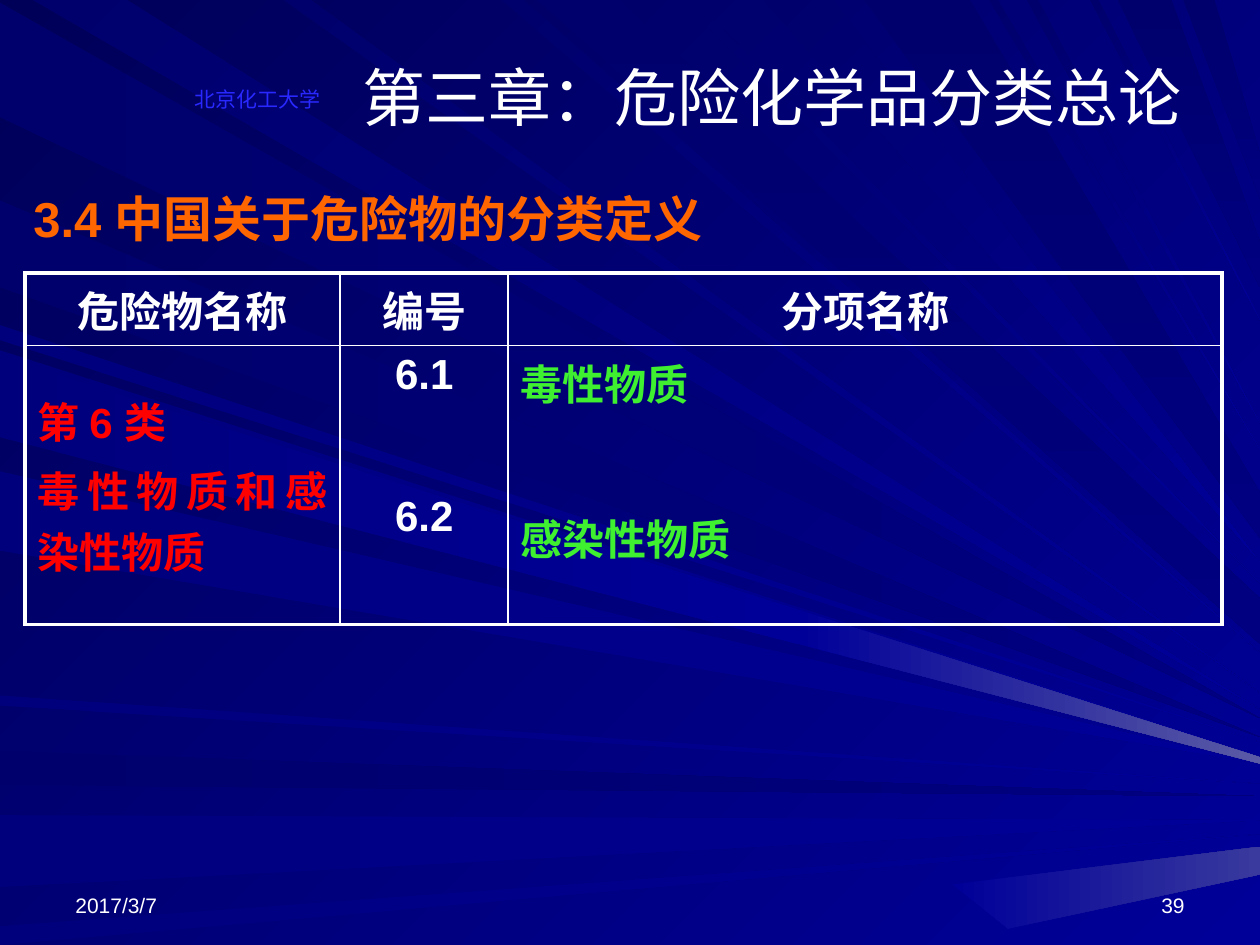
from lxml import etree
from pptx import Presentation, util as u
from pptx.dml.color import RGBColor
from pptx.enum import text as t
from pptx.oxml.ns import qn

WHITE = RGBColor(0xFF, 0xFF, 0xFF)
ORANGE = RGBColor(0xFF, 0x66, 0x00)
RED = RGBColor(0xFF, 0x00, 0x00)
GREEN = RGBColor(0x3E, 0xF0, 0x30)
BLUE = RGBColor(0x29, 0x29, 0xFF)
NIGHT = RGBColor(0x00, 0x00, 0x58)
DUSK = RGBColor(0x00, 0x00, 0x6C)
DEEP = RGBColor(0x00, 0x00, 0x7D)
NAVY = RGBColor(0x00, 0x00, 0x80)
ROYAL = RGBColor(0x00, 0x00, 0x99)
HAZE = RGBColor(0x39, 0x39, 0x9E)
GLOW = RGBColor(0x5A, 0x5A, 0xA6)


def shade(fill, first, last, turn):
    """Fill with a gradient whose angle runs clockwise."""
    fill.gradient()
    fill.gradient_angle = -turn % 360
    for stop, tone in zip(fill.gradient_stops, (first, last)):
        stop.color.rgb = tone


def write(frame, lines, size, tone, align, gap=0, bold=False):
    """Put lines in a frame, with a gap between paragraphs."""
    frame.word_wrap = True
    frame.text = "\n".join(lines)
    for i, para in enumerate(frame.paragraphs):
        para.alignment = align
        para.space_before = u.Pt(gap if i else 0)
        font = para.font
        font.name, font.size, font.bold = "Arial", u.Pt(size), bold
        font.color.rgb = tone


deck = Presentation()
deck.slide_width, deck.slide_height = u.Inches(10), u.Inches(7.5)
COL, ROW = deck.slide_width / 120, deck.slide_height / 90
slide = deck.slides.add_slide(deck.slide_layouts[5])
shade(slide.background.fill, NIGHT, ROYAL, 45)

# Rays run from a span of the left or top edge to a height on the right edge,
# all in hundredths of an inch: (span start, span end, height)
FANS = [
    ("left", DUSK, NAVY, 0, 0, [(2, 93, 570), (159, 228, 585), (596, 623, 632)]),
    ("left", DEEP, ROYAL, 0, 0, [(258, 270, 589), (278, 342, 600), (374, 437, 606),
                                 (552, 560, 622), (647, 704, 651), (735, 750, 662)]),
    ("top", DUSK, ROYAL, 45, 0, [(26, 101, 563), (225, 247, 550), (398, 416, 518),
                                 (540, 552, 463), (606, 661, 446), (785, 792, 357),
                                 (815, 824, 336), (865, 872, 254)]),
    ("top", DUSK, NAVY, 90, 18, [(426, 492, 493), (686, 770, 409),
                                 (887, 930, 210), (939, 964, 140)]),
]
shapes = [
    ([(0, a), (0, b), (1000, end)] if edge == "left" else
     [(a, 0), (b, 0), (1000, end - half), (1000, end + half)], first, last, turn)
    for edge, first, last, turn, half, spans in FANS for a, b, end in spans
]
# Bright tails at the lower right
shapes += [
    ([(0, 283), (0, 347), (633, 511), (637, 485)], DEEP, ROYAL, 0),
    ([(633, 511), (637, 485), (1000, 601), (1000, 606)], ROYAL, GLOW, 0),
    ([(756, 702), (800, 737), (1000, 694), (1000, 672)], ROYAL, HAZE, 0),
]
rays = slide.shapes.add_group_shape()
for spots, first, last, turn in shapes:
    pen = rays.shapes.build_freeform(*spots[0], scale=u.Inches(0.01))
    pen.add_line_segments(spots[1:], close=True)
    ray = pen.convert_to_shape()
    ray.shadow.inherit = False
    ray.line.fill.background()
    shade(ray.fill, first, last, turn)
slide.shapes.element.insert(2, rays.element)  # behind the title

# Title
title = slide.shapes.title
title.left, title.top = round(33 * COL), round(3 * ROW)
title.width, title.height = round(81 * COL), round(12.3 * ROW)
title.text_frame.auto_size = t.MSO_AUTO_SIZE.NONE
title.text_frame.vertical_anchor = t.MSO_ANCHOR.MIDDLE
write(title.text_frame, ["第三章：危险化学品分类总论"], 36, WHITE, t.PP_ALIGN.CENTER)

# Date, page number, school and section heading
LEFT, MID, RIGHT = t.PP_ALIGN.LEFT, t.PP_ALIGN.CENTER, t.PP_ALIGN.RIGHT
TOP, LOW = t.MSO_ANCHOR.TOP, t.MSO_ANCHOR.BOTTOM
NOTES = [
    ("2017/3/7", 6, 82, 28, 6, 12, WHITE, LEFT, LOW),
    ("39", 86, 82, 28, 6, 12, WHITE, RIGHT, LOW),
    ("北京化工大学", 16, 7, 17, 4.2, 12, BLUE, MID, LOW),
    ("3.4 中国关于危险物的分类定义", 2, 18, 80, 5, 28, ORANGE, LEFT, TOP),
]
for words, x, y, w, h, size, tone, align, anchor in NOTES:
    box = slide.shapes.add_textbox(round(x * COL), round(y * ROW), round(w * COL), round(h * ROW))
    frame = box.text_frame
    frame.vertical_anchor = anchor
    write(frame, [words], size, tone, align, bold=size > 12)
    if size > 12:
        frame.paragraphs[0].line_spacing = 0.9

# Table of classes: lines, tone, alignment, gap
JUST = t.PP_ALIGN.JUSTIFY
CELLS = [
    [(["危险物名称"], WHITE, MID, 0),
     (["编号"], WHITE, MID, 0),
     (["分项名称"], WHITE, MID, 0)],
    [(["第 6 类", "毒性物质和感染性物质"], RED, JUST, 5),
     (["6.1", "6.2"], WHITE, MID, 54),
     (["毒性物质", "感染性物质"], GREEN, LEFT, 54)],
]
WIDE, HIGH = (30, 16, 68), (6.9, 26.6)
table = slide.shapes.add_table(
    2, 3, round(2.4 * COL), round(26 * ROW), round(sum(WIDE) * COL), round(sum(HIGH) * ROW)).table
table.first_row = table.horz_banding = False
for col, w in zip(table.columns, WIDE):
    col.width = round(w * COL)
for row, h in zip(table.rows, HIGH):
    row.height = round(h * ROW)
for r, line in enumerate(CELLS):
    for c, (lines, tone, align, gap) in enumerate(line):
        cell = table.cell(r, c)
        write(cell.text_frame, lines, 24, tone, align, gap, True)
        # Thick rules outside, thin ones inside
        rim = {"L": c == 0, "R": c == 2, "T": r == 0, "B": r == 1}
        for side, outer in rim.items():
            rule = etree.SubElement(cell._tc.get_or_add_tcPr(), qn("a:ln" + side),
                                    w=str(int(u.Pt(2.25 if outer else 1))))
            paint = etree.SubElement(rule, qn("a:solidFill"))
            etree.SubElement(paint, qn("a:srgbClr"), val=str(WHITE))
        cell.fill.background()
table.cell(1, 0).vertical_anchor = t.MSO_ANCHOR.MIDDLE

deck.save("out.pptx")
